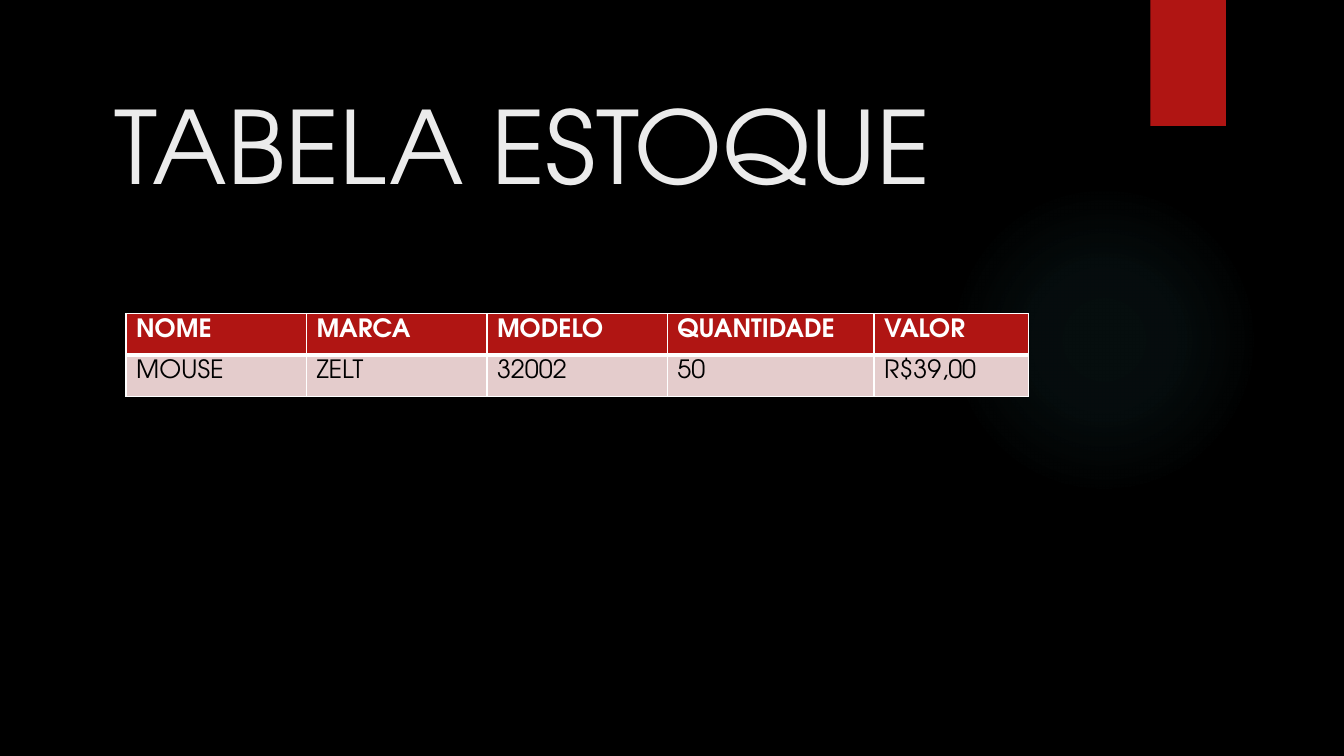
from dataclasses import dataclass

from lxml import etree
from pptx import Presentation
from pptx.dml.color import RGBColor
from pptx.enum.shapes import MSO_SHAPE
from pptx.enum.text import MSO_ANCHOR
from pptx.oxml import parse_xml
from pptx.oxml.ns import nsdecls, qn
from pptx.util import Inches, Pt

RECTANGLE = MSO_SHAPE.RECTANGLE
OVAL = MSO_SHAPE.OVAL
BOTTOM = MSO_ANCHOR.BOTTOM
FONT = "TeX Gyre Adventor"
RED = "B01513"
WHITE = "FFFFFF"
GLOW = "50B9C1"
GLOW_STOPS = ((0, 7), (36, 6), (69, 0))
COLUMN_WIDTHS = (1.79, 1.79, 1.79, 2.05, 1.53)
ROW_HEIGHT = 0.41


@dataclass(frozen=True)
class RowStyle:
    """Look and wording of one table row."""

    texts: tuple[str, ...]
    fill: str
    color: str
    bold: bool
    top: float
    bottom: float


ROWS = (
    RowStyle(("NOME", "MARCA", "MODELO", "QUANTIDADE", "VALOR"), RED, WHITE, True, 1, 3),
    RowStyle(("MOUSE", "ZELT", "32002", "50", "R$39,00"), "E4CCCC", "000000", False, 3, 1),
)


def rgb(value: str) -> RGBColor:
    """Turn a hex string into a colour."""
    return RGBColor.from_string(value)


def write(paragraph, text: str, size: float, color: str, bold: bool = False) -> None:
    """Fill a paragraph with text in the slide's font."""
    paragraph.text = text
    font = paragraph.font
    font.name = FONT
    font.size = Pt(size)
    font.bold = bold
    font.color.rgb = rgb(color)


def add_plain_shape(page, kind, left: float, top: float, width: float, height: float):
    """Add a red shape without outline or shadow."""
    shape = page.shapes.add_shape(kind, Inches(left), Inches(top), Inches(width), Inches(height))
    shape.shadow.inherit = False
    shape.fill.solid()
    shape.fill.fore_color.rgb = rgb(RED)
    shape.line.fill.background()
    return shape


def add_glow(page) -> None:
    """Add the faint round glow."""
    glow = add_plain_shape(page, OVAL, 9.41, 1.83, 3.08, 3.08)
    stops = "".join(
        f'<a:gs pos="{position * 1000}"><a:srgbClr val="{GLOW}">'
        f'<a:alpha val="{alpha * 1000}"/></a:srgbClr></a:gs>'
        for position, alpha in GLOW_STOPS
    )
    gradient = parse_xml(
        f'<a:gradFill {nsdecls("a")} rotWithShape="1"><a:gsLst>{stops}</a:gsLst>'
        '<a:path path="circle"><a:fillToRect l="50000" t="50000" r="50000" b="50000"/>'
        "</a:path></a:gradFill>"
    )
    properties = glow.element.spPr
    properties.replace(properties.find(qn("a:solidFill")), gradient)


def add_title(page) -> None:
    """Add the slide title, resting on the bottom of its box."""
    box = page.shapes.add_textbox(Inches(1.04), Inches(0), Inches(9.65), Inches(2.08))
    frame = box.text_frame
    frame.word_wrap = True
    frame.vertical_anchor = BOTTOM
    write(frame.paragraphs[0], "TABELA ESTOQUE", 72, "EBEBEB")


def set_borders(cell, top: float, bottom: float) -> None:
    """Draw white borders, one point wide at the sides."""
    properties = cell._tc.get_or_add_tcPr()
    sides = (("lnL", 1), ("lnR", 1), ("lnT", top), ("lnB", bottom))
    for index, (tag, width) in enumerate(sides):
        line = etree.Element(qn(f"a:{tag}"), w=str(Pt(width)))
        fill = etree.SubElement(line, qn("a:solidFill"))
        etree.SubElement(fill, qn("a:srgbClr"), val=WHITE)
        properties.insert(index, line)


def add_stock_table(page) -> None:
    """Add the stock table."""
    table = page.shapes.add_table(
        len(ROWS), len(COLUMN_WIDTHS), Inches(1.25), Inches(3.11),
        Inches(sum(COLUMN_WIDTHS)), Inches(ROW_HEIGHT * len(ROWS)),
    ).table
    for column, width in zip(table.columns, COLUMN_WIDTHS):
        column.width = Inches(width)
    for row, style in zip(table.rows, ROWS):
        row.height = Inches(ROW_HEIGHT)
        for cell, text in zip(row.cells, style.texts):
            cell.fill.solid()
            cell.fill.fore_color.rgb = rgb(style.fill)
            set_borders(cell, style.top, style.bottom)
            write(cell.text_frame.paragraphs[0], text, 18, style.color, style.bold)


def main() -> None:
    """Build and save the deck."""
    deck = Presentation()
    deck.slide_width = Inches(13.33)
    deck.slide_height = Inches(7.5)
    page = deck.slides.add_slide(deck.slide_layouts[6])
    page.background.fill.solid()
    page.background.fill.fore_color.rgb = rgb("000000")
    add_glow(page)
    add_plain_shape(page, RECTANGLE, 11.41, 0, 0.75, 1.25)
    add_title(page)
    add_stock_table(page)
    deck.save("out.pptx")


main()
